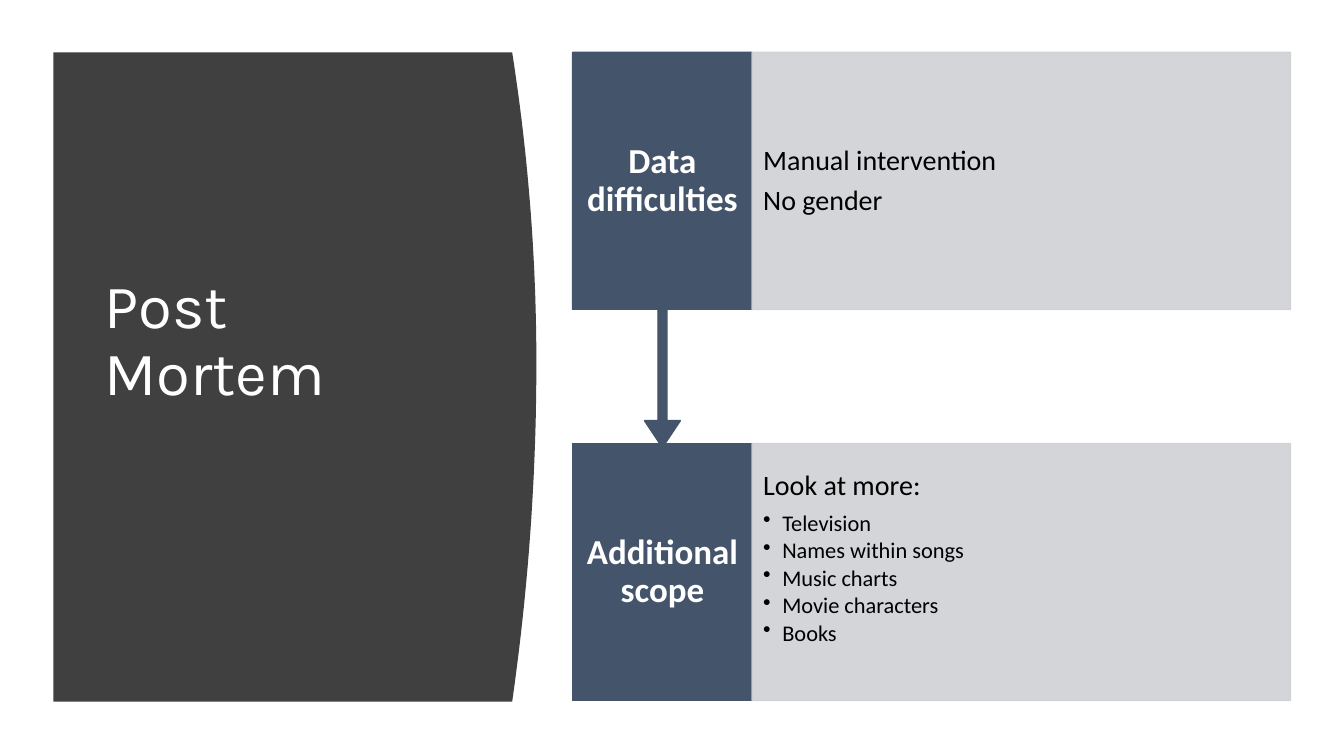
from lxml import etree
from pptx import Presentation
from pptx.dml.color import RGBColor
from pptx.enum.shapes import MSO_SHAPE
from pptx.enum.text import MSO_ANCHOR, PP_ALIGN
from pptx.oxml.ns import qn
from pptx.util import Inches, Pt

RECT = MSO_SHAPE.RECTANGLE
CALLOUT = MSO_SHAPE.UP_ARROW_CALLOUT
TOP, MIDDLE = MSO_ANCHOR.TOP, MSO_ANCHOR.MIDDLE
LEFT, CENTER = PP_ALIGN.LEFT, PP_ALIGN.CENTER

DARK = RGBColor(0x40, 0x40, 0x40)
NAVY = RGBColor(0x44, 0x54, 0x6A)
GRAY = RGBColor(0xCF, 0xD1, 0xD4)
WHITE = RGBColor(0xFF, 0xFF, 0xFF)
BLACK = RGBColor(0, 0, 0)

HEAD_X, HEAD_W = 5.68, 1.78
BODY_X, BODY_W = HEAD_X + HEAD_W, 5.34
ROW_H, ROWS = 2.55, (0.52, 4.4)
CALL_H = 3.92
HEAD_PAD, BODY_PAD = (0.13, 0.19, 0.13, 0.19), (0.11, 0.28, 0.11, 0.28)


def fade(fill, alpha):
    """Set the opacity of a solid fill in percent."""
    color = fill._xPr.find(qn("a:solidFill"))[0]
    etree.SubElement(color, qn("a:alpha")).set("val", str(alpha * 1000))


def paint(shape, color, alpha=100):
    """Give a shape one colour for fill and line, without shadow."""
    shape.shadow.inherit = False
    shape.line.width = Pt(1)
    for fill in (shape.fill, shape.line.fill):
        fill.solid()
        fill.fore_color.rgb = color
        if alpha < 100:
            fade(fill, alpha)


def add_box(slide, kind, box, color, alpha=100):
    """Add a painted preset shape."""
    shape = slide.shapes.add_shape(kind, *map(Inches, box))
    paint(shape, color, alpha)
    return shape


def set_frame(shape, pad, anchor=MIDDLE):
    """Prepare the text frame of a shape and return it."""
    frame = shape.text_frame
    frame.word_wrap = True
    frame.vertical_anchor = anchor
    (frame.margin_left, frame.margin_top,
     frame.margin_right, frame.margin_bottom) = map(Inches, pad)
    return frame


def add_line(frame, text, size, color, font="Calibri", bold=False,
             align=LEFT, after=0.0, bullet=False):
    """Add one paragraph, using the first one while it is empty."""
    para = frame.paragraphs[0]
    if para.runs:
        para = frame.add_paragraph()
    para.alignment = align
    para.line_spacing = 0.9
    para.space_after = Pt(after)
    if bullet:
        props = para._p.get_or_add_pPr()
        props.set("marL", str(Inches(0.19)))
        props.set("indent", str(Inches(-0.19)))
        etree.SubElement(props, qn("a:buChar")).set("char", "•")
    run = para.add_run()
    run.text = text
    run.font.name = font
    run.font.size = Pt(size)
    run.font.bold = bold
    run.font.color.rgb = color


def add_panel(slide):
    """Draw the dark panel with its bowed right edge."""
    left, top, base, edge, bow, peak = 0.53, 0.52, 6.96, 5.08, 0.24, 3.6
    steps = 48
    curve = []
    for step in range(steps + 1):
        y = top + (base - top) * step / steps
        reach = peak - top if y < peak else base - peak
        x = edge + bow * (1 - ((y - peak) / reach) ** 2)
        curve.append((Inches(x), Inches(y)))
    pen = slide.shapes.build_freeform(Inches(left), Inches(top))
    pen.add_line_segments(curve + [(Inches(left), Inches(base))], close=True)
    panel = pen.convert_to_shape()
    paint(panel, DARK)
    panel.line.fill.background()


def add_title(slide, text):
    """Write the title on the panel."""
    box = slide.shapes.add_textbox(*map(Inches, (0.94, 1.11, 3.74, 5.24)))
    frame = set_frame(box, (0.1, 0.05, 0.5, 0.72))
    add_line(frame, text, 44, WHITE, font="Karla")


def add_head(shape, text):
    """Write the bold heading of a row."""
    frame = set_frame(shape, HEAD_PAD)
    add_line(frame, text, 25, WHITE, bold=True, align=CENTER, after=8.75)


def add_body(slide, top, lines, points=(), anchor=MIDDLE):
    """Add the pale box of a row with plain lines and bullet points."""
    box = add_box(slide, RECT, (BODY_X, top, BODY_W, ROW_H), GRAY, 90)
    frame = set_frame(box, BODY_PAD, anchor)
    for text in lines:
        add_line(frame, text, 20, BLACK, after=7)
    for text in points:
        add_line(frame, text, 16, BLACK, after=2.4, bullet=True)


def main():
    """Build the slide and save it."""
    deck = Presentation()
    deck.slide_width, deck.slide_height = Inches(13.33), Inches(7.5)
    slide = deck.slides.add_slide(deck.slide_layouts[6])
    first, second = ROWS

    add_panel(slide)
    add_title(slide, "Post Mortem")

    scope = add_box(slide, RECT, (HEAD_X, second, HEAD_W, ROW_H), NAVY)
    add_head(scope, "Additional scope")
    add_body(slide, second, ["Look at more:"],
             ["Television", "Names within songs", "Music charts",
              "Movie characters", "Books"], TOP)

    arrow = add_box(slide, CALLOUT, (HEAD_X, first, HEAD_W, CALL_H), NAVY)
    arrow.rotation = 180
    for index, value in enumerate((0.05, 0.1, 0.15, 0.65)):
        arrow.adjustments[index] = value
    label = slide.shapes.add_textbox(
        *map(Inches, (HEAD_X, first, HEAD_W, ROW_H)))
    add_head(label, "Data difficulties")
    add_body(slide, first, ["Manual intervention", "No gender"])

    deck.save("out.pptx")


main()
